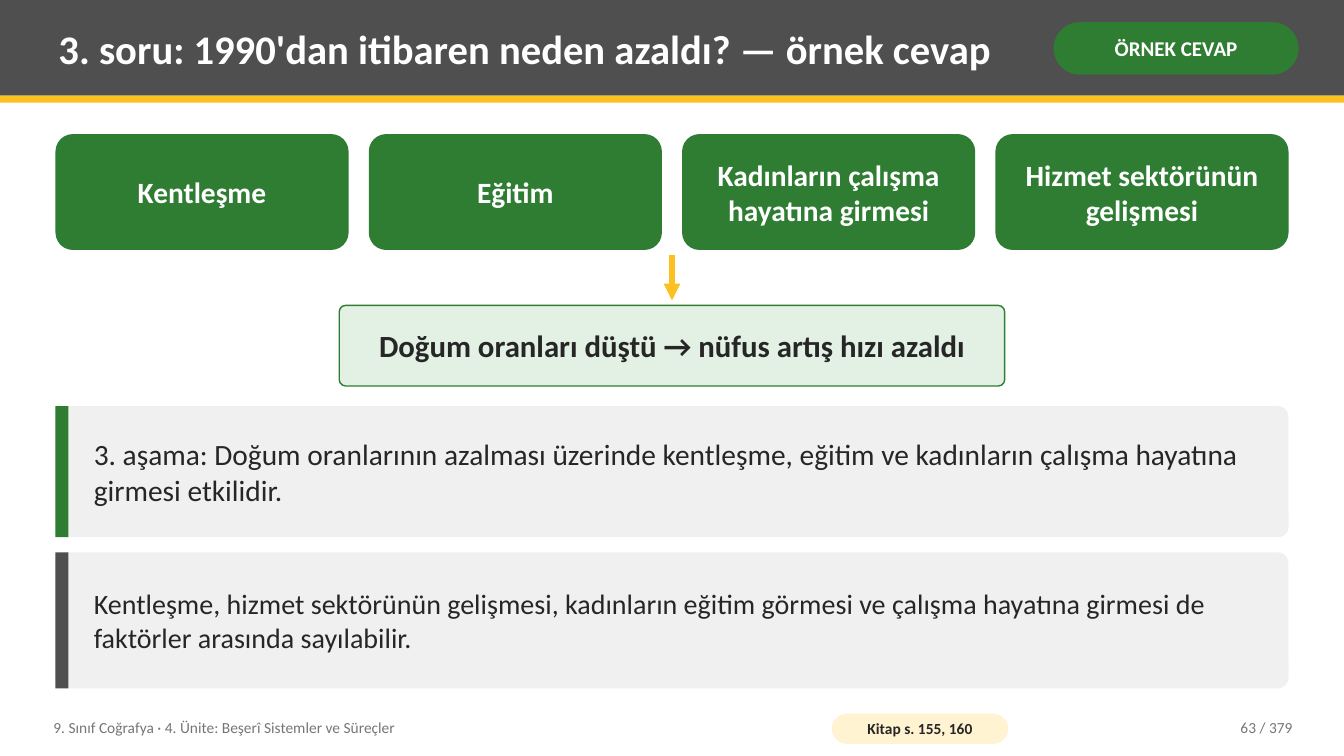
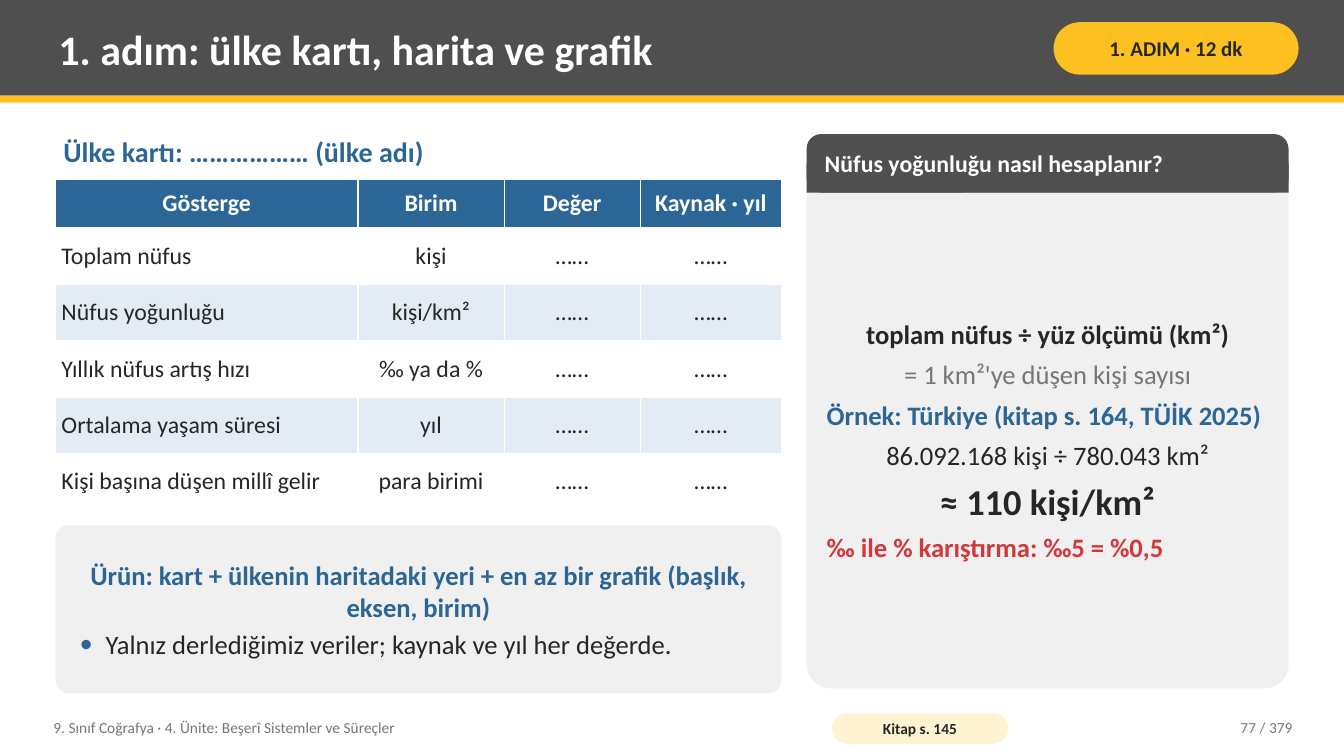
from lxml.etree import SubElement
from pptx import Presentation
from pptx.dml.color import RGBColor
from pptx.enum.shapes import MSO_CONNECTOR, MSO_SHAPE
from pptx.enum.text import MSO_ANCHOR, PP_ALIGN
from pptx.oxml.ns import qn
from pptx.util import Emu, Pt

# Shared look: 100 px to the inch
PX = 9144
WIDE, HIGH = 1333, 750
LEFT, SPAN = 55, 1223
FONT = "Calibri"
GREEN, GOLD, BLUE, RED = "2E7D32", "FCC021", "2C6696", "D3373A"
DARK, INK, GREY, PALE, WHITE = "4F4F4F", "262626", "767676", "F0F0F0", "FFFFFF"
MINT, CREAM, ICE = "E3F1E4", "FFF3D1", "E3ECF5"
RECT, ROUND = MSO_SHAPE.RECTANGLE, MSO_SHAPE.ROUNDED_RECTANGLE
MID, RIGHT = PP_ALIGN.CENTER, PP_ALIGN.RIGHT
COURSE = "9. Sınıf Coğrafya · 4. Ünite: Beşerî Sistemler ve Süreçler"
TOTAL = 379


def para(text, size, color=INK, bold=False, bullet=None, **form):
    return dict(text=text, size=size, color=color, bold=bold, bullet=bullet, form=form)


# Content of the first slide
CAUSES = ["Kentleşme", "Eğitim", "Kadınların çalışma hayatına girmesi",
          "Hizmet sektörünün gelişmesi"]
RESULT = "Doğum oranları düştü → nüfus artış hızı azaldı"
NOTES = [  # top, height, accent, size, text
    (403, 130, GREEN, 21, "3. aşama: Doğum oranlarının azalması üzerinde kentleşme, "
     "eğitim ve kadınların çalışma hayatına girmesi etkilidir."),
    (548, 135, DARK, 20, "Kentleşme, hizmet sektörünün gelişmesi, kadınların eğitim "
     "görmesi ve çalışma hayatına girmesi de faktörler arasında sayılabilir."),
]

# Content of the second slide
CARD = "Ülke kartı: ……………… (ülke adı)"
HEADS = ["Gösterge", "Birim", "Değer", "Kaynak · yıl"]
UNITS = [
    ("Toplam nüfus", "kişi"),
    ("Nüfus yoğunluğu", "kişi/km²"),
    ("Yıllık nüfus artış hızı", "‰ ya da %"),
    ("Ortalama yaşam süresi", "yıl"),
    ("Kişi başına düşen millî gelir", "para birimi"),
]
BLANK = "……"
COLS = [300, 145, 135, 140]
ROWS = [48] + [56] * len(UNITS)
GOAL = [
    para("Ürün: kart + ülkenin haritadaki yeri + en az bir grafik (başlık, eksen, birim)",
         19, BLUE, True, space_after=Pt(4)),
    para("Yalnız derlediğimiz veriler; kaynak ve yıl her değerde.", 19, bullet=BLUE),
]
METHOD = "Nüfus yoğunluğu nasıl hesaplanır?"
GAP = Pt(6)
STEPS = [
    para("toplam nüfus ÷ yüz ölçümü (km²)", 19, INK, True, alignment=MID, space_after=GAP),
    para("= 1 km²'ye düşen kişi sayısı", 19, GREY, alignment=MID, space_after=GAP),
    para("Örnek: Türkiye (kitap s. 164, TÜİK 2025)", 19, BLUE, True, space_after=GAP),
    para("86.092.168 kişi ÷ 780.043 km²", 19, alignment=MID, space_after=GAP),
    para("≈ 110 kişi/km²", 26, INK, True, alignment=MID, space_after=GAP),
    para("‰ ile % karıştırma: ‰5 = %0,5", 19, RED, True),
]


# Helpers
def px(n):
    return Emu(round(n * PX))


def rgb(code):
    return RGBColor.from_string(code)


def apply(target, values):
    for name, value in values.items():
        setattr(target, name, value)


def dot(line, color):
    props = line._p.get_or_add_pPr()
    props.set("marL", str(px(26)))
    props.set("indent", str(-px(26)))
    tint = SubElement(props, qn("a:buClr"))
    SubElement(tint, qn("a:srgbClr"), val=color)
    SubElement(props, qn("a:buFont"), typeface=FONT)
    SubElement(props, qn("a:buChar"), char="•")


def write(frame, paras):
    for i, item in enumerate(paras):
        line = frame.add_paragraph() if i else frame.paragraphs[0]
        if item["bullet"]:
            dot(line, item["bullet"])
        apply(line, item["form"])
        run = line.add_run()
        run.text = item["text"]
        apply(run.font, {"name": FONT, "size": Pt(item["size"]), "bold": item["bold"]})
        run.font.color.rgb = rgb(item["color"])


def pads(across, down):
    return {"margin_left": px(across), "margin_right": px(across),
            "margin_top": px(down), "margin_bottom": px(down)}


def fill_text(shape, paras, pad):
    frame = shape.text_frame
    apply(frame, {"word_wrap": True, "vertical_anchor": MSO_ANCHOR.MIDDLE, **pads(*pad)})
    write(frame, paras)


def label(slide, box, *paras):
    shape = slide.shapes.add_textbox(*map(px, box))
    fill_text(shape, paras, (8, 4))


def block(slide, box, fill, round_by=None, paras=(), pad=(14, 8), edge=None):
    kind = RECT if round_by is None else ROUND
    shape = slide.shapes.add_shape(kind, *map(px, box))
    shape.shadow.inherit = False
    if round_by is not None:
        shape.adjustments[0] = round_by
    shape.fill.solid()
    shape.fill.fore_color.rgb = rgb(fill)
    if edge:
        shape.line.color.rgb = rgb(edge)
        shape.line.width = Pt(1)
    else:
        shape.line.fill.background()
    if paras:
        fill_text(shape, paras, pad)


def arrow(slide, x, top, end):
    line = slide.shapes.add_connector(MSO_CONNECTOR.STRAIGHT, px(x), px(top), px(x), px(end))
    line.line.color.rgb = rgb(GOLD)
    line.line.width = Pt(4)
    SubElement(line.line._get_or_add_ln(), qn("a:tailEnd"), type="triangle")
    SubElement(line._element.spPr, qn("a:effectLst"))


def border(cell):
    props = cell._tc.get_or_add_tcPr()
    for side in ("lnL", "lnR", "lnT", "lnB"):
        edge = SubElement(props, qn("a:" + side), w=str(Pt(0.96)))
        tint = SubElement(edge, qn("a:solidFill"))
        SubElement(tint, qn("a:srgbClr"), val=WHITE)


def grid(slide, x, y):
    rows = [HEADS] + [[name, unit, BLANK, BLANK] for name, unit in UNITS]
    box = (x, y, sum(COLS), sum(ROWS))
    table = slide.shapes.add_table(len(ROWS), len(COLS), *map(px, box)).table
    for col, width in zip(table.columns, COLS):
        col.width = px(width)
    for r, (row, height) in enumerate(zip(rows, ROWS)):
        table.rows[r].height = px(height)
        head = r == 0
        fill = BLUE if head else (WHITE if r % 2 else ICE)
        for c, text in enumerate(row):
            cell = table.cell(r, c)
            border(cell)
            cell.fill.solid()
            cell.fill.fore_color.rgb = rgb(fill)
            apply(cell, {"vertical_anchor": MSO_ANCHOR.MIDDLE, **pads(6, 5)})
            form = {"alignment": MID} if head or c else {}
            write(cell.text_frame, [para(text, 17, WHITE if head else INK, head, **form)])


def start(deck, title, size, tag, tag_fill, tag_ink, book, page):
    slide = deck.slides.add_slide(deck.slide_layouts[6])
    # Title band
    block(slide, (0, 0, WIDE, 95), DARK)
    block(slide, (0, 95, WIDE, 7), GOLD)
    label(slide, (50, 7, 975, 82), para(title, size, WHITE, True))
    block(slide, (1045, 22, 243, 52), tag_fill, 0.5,
          [para(tag, 15, tag_ink, True, alignment=MID)], (5, 2))
    # Footer
    label(slide, (45, 704, 760, 36), para(COURSE, 11, GREY))
    block(slide, (825, 708, 175, 30), CREAM, 0.5,
          [para(book, 11, INK, True, alignment=MID)], (4, 0))
    label(slide, (1130, 704, 160, 36),
          para(f"{page} / {TOTAL}", 11, GREY, alignment=RIGHT))
    return slide


# Slides
def answer(deck):
    slide = start(deck, "3. soru: 1990'dan itibaren neden azaldı? — örnek cevap", 29,
                  "ÖRNEK CEVAP", GREEN, WHITE, "Kitap s. 155, 160", 63)
    gap = 20
    width = (SPAN - gap * (len(CAUSES) - 1)) / len(CAUSES)
    for i, cause in enumerate(CAUSES):
        block(slide, (LEFT + i * (width + gap), 133, width, 115), GREEN, 0.15,
              [para(cause, 21, WHITE, True, alignment=MID)])
    arrow(slide, WIDE / 2, 253, 298)
    wide = 660
    block(slide, ((WIDE - wide) / 2, 303, wide, 80), MINT, 0.08,
          [para(RESULT, 22, INK, True, alignment=MID)], edge=GREEN)
    for top, high, accent, size, text in NOTES:
        block(slide, (LEFT, top, SPAN, high), PALE, 0.08)
        block(slide, (LEFT, top, 13, high), accent)
        label(slide, (LEFT + 30, top, SPAN - 45, high), para(text, size))


def task(deck):
    slide = start(deck, "1. adım: ülke kartı, harita ve grafik", 30,
                  "1. ADIM · 12 dk", GOLD, INK, "Kitap s. 145", 77)
    # Country card
    wide = sum(COLS)
    label(slide, (LEFT, 128, wide, 45), para(CARD, 20, BLUE, True))
    grid(slide, LEFT, 178)
    block(slide, (LEFT, 521, wide, 167), PALE, 0.08, GOAL, (20, 8))
    # Density panel
    x, top, head = LEFT + wide + 25, 133, 58
    wide = LEFT + SPAN - x
    block(slide, (x, top, wide, 550), PALE, 0.05)
    block(slide, (x, top, wide, head), DARK, 0.25)
    block(slide, (x, top + head / 2, wide, head / 2), DARK)
    label(slide, (x + 10, top, wide - 20, head), para(METHOD, 17, WHITE, True))
    label(slide, (x + 12, top + head + 8, wide - 24, 476), *STEPS)


def main():
    deck = Presentation()
    apply(deck, {"slide_width": px(WIDE), "slide_height": px(HIGH)})
    answer(deck)
    task(deck)
    deck.save("out.pptx")


if __name__ == "__main__":
    main()
